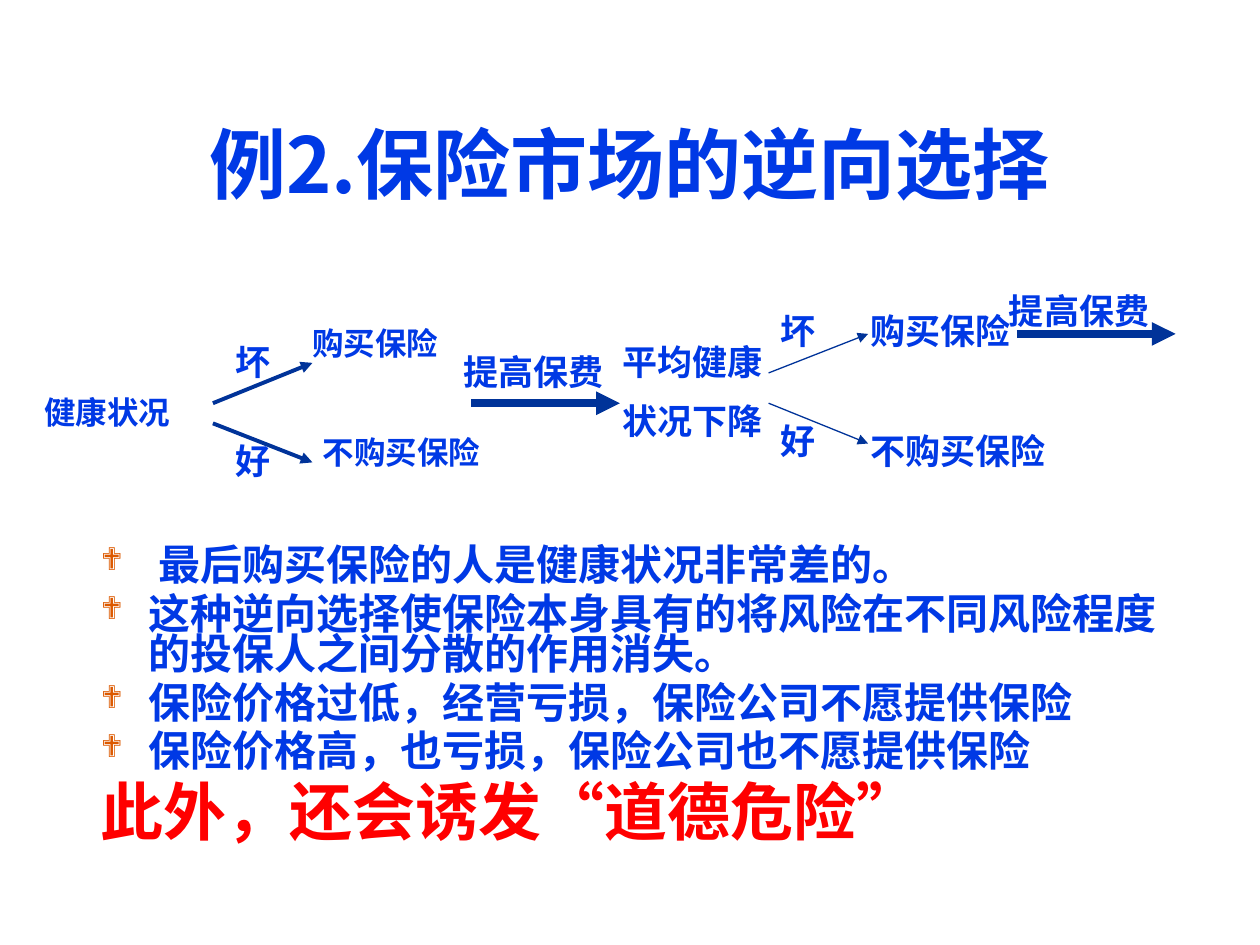
from lxml.etree import SubElement
from pptx import Presentation
from pptx.dml.color import RGBColor
from pptx.enum.shapes import MSO_CONNECTOR
from pptx.enum.text import MSO_ANCHOR, MSO_AUTO_SIZE, PP_ALIGN
from pptx.oxml.ns import qn
from pptx.util import Inches, Pt

FONT, BULLET_FONT = "Noto Sans CJK SC", "Wingdings"
BLUE, NAVY, ORANGE, RED = "0039E5", "003399", "DC5900", "FF0000"
HANG = 0.38

TITLE = "例2.保险市场的逆向选择"
POINTS = [
    " 最后购买保险的人是健康状况非常差的。",
    "这种逆向选择使保险本身具有的将风险在不同风险程度的投保人之间分散的作用消失。",
    "保险价格过低，经营亏损，保险公司不愿提供保险",
    "保险价格高，也亏损，保险公司也不愿提供保险",
]
WARNING = "此外，还会诱发“道德危险”"

# left, top, lines
STEP_LABELS = [
    (1.77, 3.44, ["好"]),
    (1.77, 2.65, ["坏"]),
    (3.58, 2.73, ["提高保费"]),
    (4.84, 2.65, ["平均健康", "状况下降"]),
    (6.1, 3.28, ["好"]),
    (6.1, 2.41, ["坏"]),
    (6.81, 3.36, ["不购买保险"]),
    (6.81, 2.41, ["购买保险"]),
    (7.91, 2.25, ["提高保费"]),
]
# left, top, width, line
START_LABELS = [
    (0.35, 3.12, 1.18, "健康状况"),
    (2.48, 2.57, 1.18, "购买保险"),
    (2.56, 3.44, 1.42, "不购买保险"),
]
# start x, start y, end x, end y, weight
ARROWS = [
    (1.69, 3.36, 2.48, 3.67, 2.25),
    (1.69, 3.2, 2.48, 2.88, 2.25),
    (6.1, 3.2, 6.89, 3.52, 0.75),
    (6.1, 2.96, 6.89, 2.65, 0.75),
    (8.07, 2.65, 9.33, 2.65, 4.5),
    (3.74, 3.2, 4.92, 3.2, 4.5),
]


def color(value):
    return RGBColor.from_string(value)


def place(shape, *box):
    shape.left, shape.top, shape.width, shape.height = map(Inches, box)


def write(frame, lines, size, ink=BLUE, spacing=1.0, before=0, hang=HANG):
    """Append one paragraph per line, filling the empty first one, and return them."""
    added = []
    for line in lines:
        first = frame.paragraphs[0]
        para = frame.add_paragraph() if first.runs else first
        para.line_spacing = spacing
        para.space_before = Pt(size * before)
        props = para._p.get_or_add_pPr()
        props.set("marL", str(Inches(hang)))
        props.set("indent", str(-Inches(hang)))
        run = para.add_run()
        run.text = line
        run.font.size, run.font.bold, run.font.name = Pt(size), True, FONT
        run.font.color.rgb = color(ink)
        SubElement(run._r.get_or_add_rPr(), qn("a:ea"), typeface=FONT)
        added.append(para)
    return added


def set_bullet(para, char=None):
    props = para._p.get_or_add_pPr()
    if char is None:
        SubElement(props, qn("a:buNone"))
        return
    SubElement(SubElement(props, qn("a:buClr")), qn("a:srgbClr"), val=ORANGE)
    SubElement(props, qn("a:buSzPct"), val="75000")
    SubElement(props, qn("a:buFont"), typeface=BULLET_FONT)
    SubElement(props, qn("a:buChar"), char=char)


def add_label(slide, box, lines, size, inset=True):
    frame = slide.shapes.add_textbox(*map(Inches, box)).text_frame
    frame.word_wrap = True
    frame.auto_size = MSO_AUTO_SIZE.SHAPE_TO_FIT_TEXT
    if not inset:
        frame.margin_left = frame.margin_right = 0
        frame.margin_top = frame.margin_bottom = 0
    write(frame, lines, size, before=0.5)


def add_arrow(slide, x1, y1, x2, y2, weight):
    ends = map(Inches, (x1, y1, x2, y2))
    arrow = slide.shapes.add_connector(MSO_CONNECTOR.STRAIGHT, *ends)
    arrow.line.color.rgb = color(NAVY)
    arrow.line.width = Pt(weight)
    SubElement(arrow.line._get_or_add_ln(), qn("a:tailEnd"), type="triangle")
    SubElement(arrow._element.spPr, qn("a:effectLst"))


def main():
    prs = Presentation()
    prs.slide_width, prs.slide_height = Inches(10), Inches(7.5)
    slide = prs.slides.add_slide(prs.slide_layouts.get_by_name("Title and Content"))

    title, body = slide.placeholders
    place(title, 0.33, 0.67, 9.34, 1.25)
    title.text_frame.vertical_anchor = MSO_ANCHOR.MIDDLE
    write(title.text_frame, [TITLE], 44, hang=0)[0].alignment = PP_ALIGN.CENTER

    place(body, 0.7, 4.3, 8.71, 2.57)
    body.text_frame.auto_size = MSO_AUTO_SIZE.NONE
    tight = {"spacing": 0.8, "before": 0.2}
    for para in write(body.text_frame, POINTS, 24, **tight):
        set_bullet(para, "❖")
    for para in write(body.text_frame, [WARNING], 36, RED, **tight):
        set_bullet(para)

    for arrow in ARROWS:
        add_arrow(slide, *arrow)
    for left, top, lines in STEP_LABELS:
        height = 0.1 + 0.33 * len(lines) + 0.14 * (len(lines) - 1)
        add_label(slide, (left, top, 1.73, height), lines, 20)
    for left, top, width, line in START_LABELS:
        add_label(slide, (left, top, width, 0.3), [line], 18, inset=False)

    prs.save("out.pptx")


if __name__ == "__main__":
    main()
